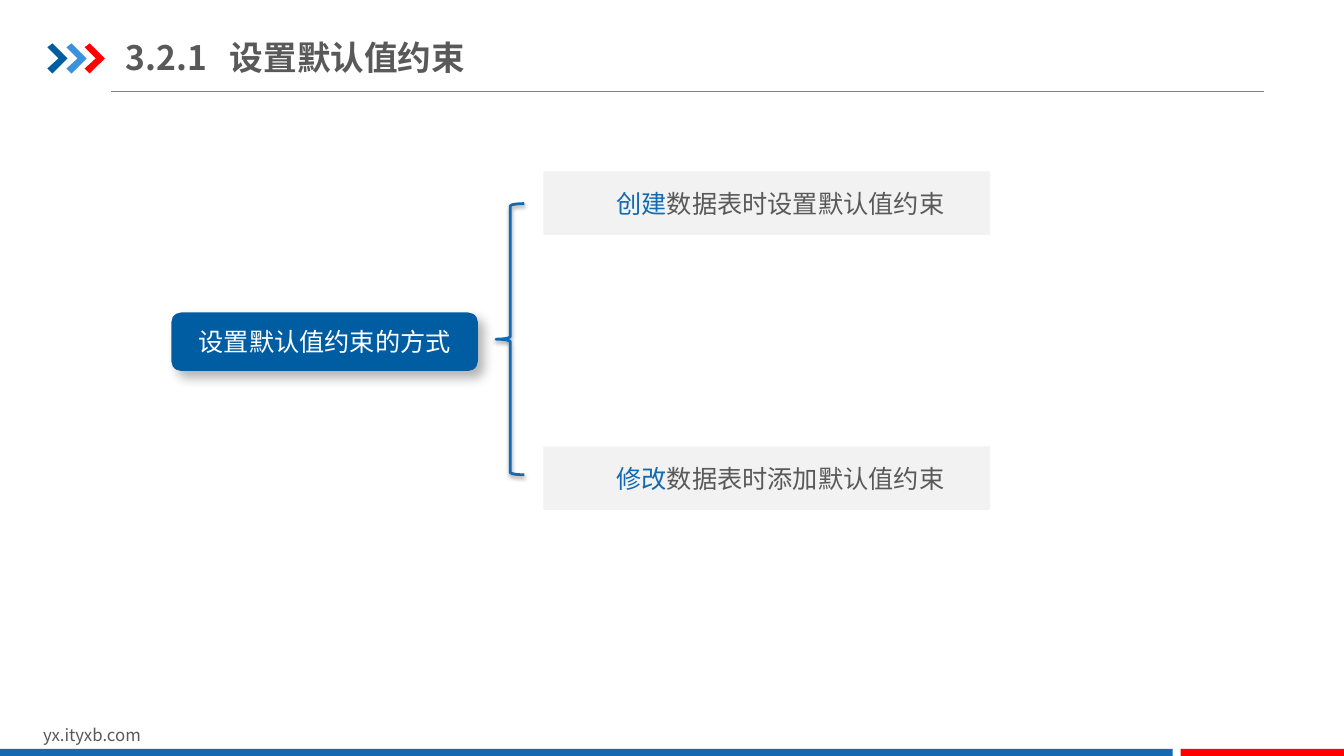
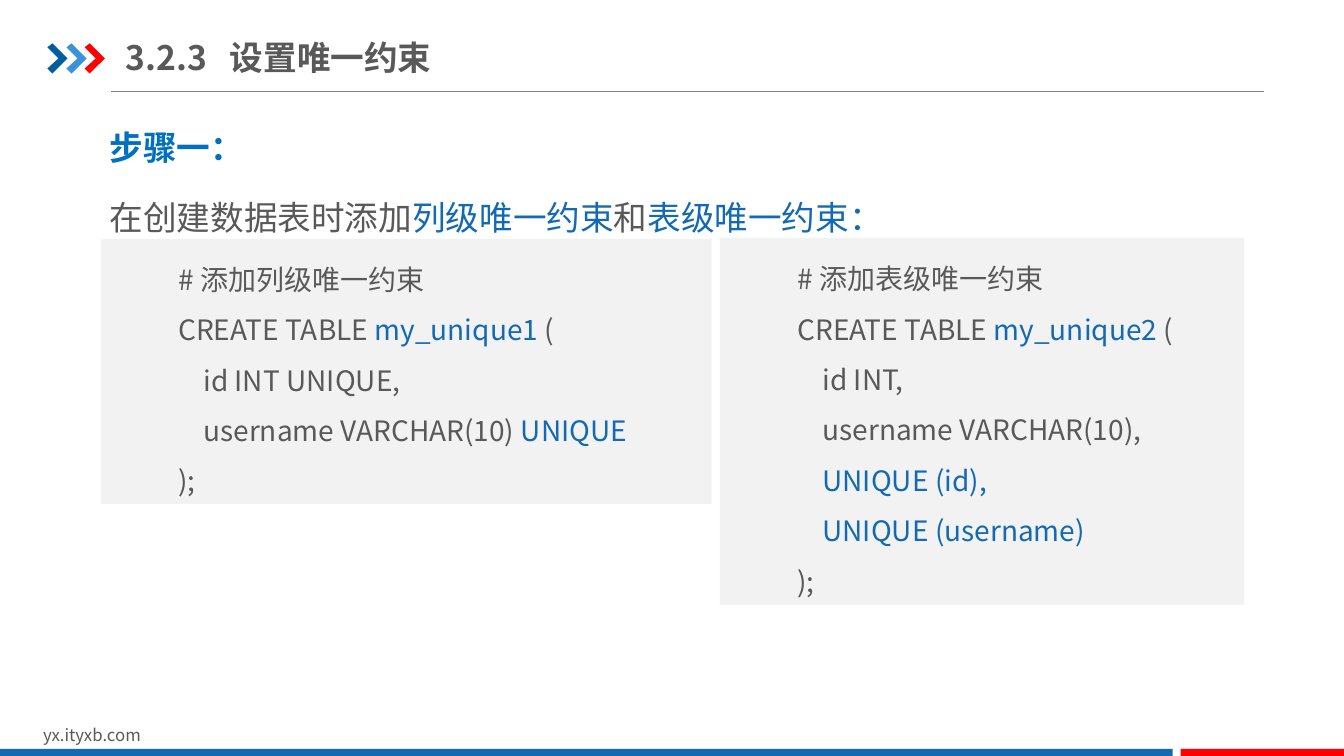
from lxml.etree import SubElement
from pptx import Presentation
from pptx.dml.color import RGBColor
from pptx.enum.shapes import MSO_CONNECTOR, MSO_SHAPE
from pptx.enum.text import MSO_ANCHOR, PP_ALIGN
from pptx.oxml.ns import qn
from pptx.util import Inches, Pt

FONT = "Noto Sans CJK SC"
GREY = RGBColor(0x59, 0x59, 0x59)
RULE_GREY = RGBColor(0x80, 0x80, 0x80)
PANEL = RGBColor(0xF2, 0xF2, 0xF2)
WHITE = RGBColor(0xFF, 0xFF, 0xFF)
NAVY = RGBColor(0x00, 0x5D, 0xA2)
SKY = RGBColor(0x39, 0x92, 0xDB)
BLUE = RGBColor(0x13, 0x69, 0xB2)
HEADING_BLUE = RGBColor(0x00, 0x70, 0xC0)
RED = RGBColor(0xFF, 0x00, 0x00)


def add_block(page, left, top, width, height, fill=None, kind=MSO_SHAPE.RECTANGLE):
    """Add a borderless filled shape, or a text box when there is no fill."""
    place = [Inches(value) for value in (left, top, width, height)]
    if fill is None:
        block = page.shapes.add_textbox(*place)
    else:
        block = page.shapes.add_shape(kind, *place)
        block.shadow.inherit = False
        block.fill.solid()
        block.fill.fore_color.rgb = fill
        block.line.fill.background()
    block.text_frame.word_wrap = True
    return block


def write(para, parts, size, bold=False, align=PP_ALIGN.LEFT):
    """Fill a paragraph with (text, colour) parts."""
    para.alignment = align
    for text, colour in parts:
        span = para.add_run()
        span.text = text
        span.font.size = Pt(size)
        span.font.bold = bold
        span.font.name = FONT
        span.font.color.rgb = colour
        SubElement(span.font._element, qn("a:ea"), typeface=FONT)


deck = Presentation()
deck.slide_width, deck.slide_height = Inches(13.33), Inches(7.5)
layout = deck.slide_layouts[6]
for placeholder in list(layout.placeholders):
    layout.shapes.element.remove(placeholder.element)

brace_page = deck.slides.add_slide(layout)
code_page = deck.slides.add_slide(layout)

# Shared rule, chevrons and footer: drawn once, then moved to the layout
rule = brace_page.shapes.add_connector(
    MSO_CONNECTOR.STRAIGHT, Inches(1.1), Inches(0.91), Inches(12.54), Inches(0.91))
rule.line.color.rgb = RULE_GREY
rule.line.width = Pt(0.75)
SubElement(rule._element.spPr, qn("a:effectLst"))

CHEVRON = [(0, 0.04), (0.05, 0), (0.2, 0.15), (0.05, 0.3), (0, 0.25), (0.11, 0.15)]
for left, colour in [(0.47, NAVY), (0.66, SKY), (0.84, RED)]:
    points = [(Inches(left + x), Inches(0.43 + y)) for x, y in CHEVRON]
    builder = brace_page.shapes.build_freeform(*points[0])
    builder.add_line_segments(points[1:], close=True)
    chevron = builder.convert_to_shape()
    chevron.shadow.inherit = False
    chevron.fill.solid()
    chevron.fill.fore_color.rgb = colour
    chevron.line.fill.background()

footer = add_block(brace_page, 0.33, 7.14, 3.18, 0.3)
write(footer.text_frame.paragraphs[0], [("yx.ityxb.com", GREY)], 12)
add_block(brace_page, 0, 7.43, 11.63, 0.09, BLUE)
add_block(brace_page, 11.71, 7.43, 1.63, 0.09, RED)
for shape in list(brace_page.shapes):
    layout.shapes.element.append(shape.element)

# Titles
for page, title in [(brace_page, "3.2.1\t设置默认值约束"), (code_page, "3.2.3\t设置唯一约束")]:
    box = add_block(page, 1.25, 0.29, 4.26, 0.55)
    frame = box.text_frame
    frame.vertical_anchor = MSO_ANCHOR.MIDDLE
    frame.margin_left = frame.margin_right = 0
    frame.margin_top = frame.margin_bottom = Inches(0.07)
    para = frame.paragraphs[0]
    tabs = SubElement(para._p.get_or_add_pPr(), qn("a:tabLst"))
    SubElement(tabs, qn("a:tab"), pos=str(Inches(1.03)), algn="l")
    write(para, [(title, GREY)], 24, bold=True)

# Slide 1: two ways of setting a default
topic = add_block(brace_page, 1.7, 3.1, 3.04, 0.58, NAVY, MSO_SHAPE.ROUNDED_RECTANGLE)
topic.text_frame.vertical_anchor = MSO_ANCHOR.MIDDLE
write(topic.text_frame.paragraphs[0], [("设置默认值约束的方式", WHITE)], 18,
      align=PP_ALIGN.CENTER)

brace = add_block(brace_page, 4.92, 2.02, 0.28, 2.69, BLUE, MSO_SHAPE.LEFT_BRACE)
brace.fill.background()
brace.line.color.rgb = BLUE
brace.line.width = Pt(2)

for shape, opacity, blur, distance, angle in [(topic, 30, 8, 6, 45), (brace, 38, 3.1, 1.6, 90)]:
    effects = shape._element.spPr.find(qn("a:effectLst"))
    shadow = SubElement(effects, qn("a:outerShdw"), blurRad=str(Pt(blur)),
                        dist=str(Pt(distance)), dir=str(angle * 60000), rotWithShape="0")
    shade = SubElement(shadow, qn("a:srgbClr"), val="000000")
    SubElement(shade, qn("a:alpha"), val=str(opacity * 1000))

for top, verb, rest in [(1.7, "创建", "数据表时设置默认值约束"),
                        (4.43, "修改", "数据表时添加默认值约束")]:
    option = add_block(brace_page, 5.39, top, 4.43, 0.63, PANEL)
    option.text_frame.vertical_anchor = MSO_ANCHOR.MIDDLE
    option.text_frame.margin_left = Inches(0.47)
    option.text_frame.margin_right = Inches(0.2)
    write(option.text_frame.paragraphs[0], [(verb, BLUE), (rest, GREY)], 18,
          align=PP_ALIGN.CENTER)

# Slide 2: column-level and table-level code
step = add_block(code_page, 0.99, 1.21, 4.97, 0.5)
write(step.text_frame.paragraphs[0], [("步骤一：", HEADING_BLUE)], 24, bold=True)

sentence = add_block(code_page, 0.99, 1.7, 11.43, 0.71)
para = sentence.text_frame.paragraphs[0]
para.line_spacing = 1.5
write(para, [("在创建数据表时添加", GREY), ("列级唯一约束", BLUE), ("和", GREY),
             ("表级唯一约束：", BLUE)], 24)

COLUMN_CODE = [
    [("# 添加列级唯一约束", GREY)],
    [("CREATE TABLE ", GREY), ("my_unique1", BLUE), (" (", GREY)],
    [("    id INT UNIQUE,", GREY)],
    [("    username VARCHAR(10) ", GREY), ("UNIQUE", BLUE)],
    [(");", GREY)],
]
TABLE_CODE = [
    [("# 添加表级唯一约束", GREY)],
    [("CREATE TABLE ", GREY), ("my_unique2", BLUE), (" (", GREY)],
    [("    id INT,", GREY)],
    [("    username VARCHAR(10),", GREY)],
    [("    UNIQUE (id),", BLUE)],
    [("    UNIQUE (username)", BLUE)],
    [(");", GREY)],
]
for left, top, width, height, lines in [(1, 2.37, 6.06, 2.63, COLUMN_CODE),
                                        (7.14, 2.36, 5.2, 3.64, TABLE_CODE)]:
    panel = add_block(code_page, left, top, width, height, PANEL)
    frame = panel.text_frame
    frame.vertical_anchor = MSO_ANCHOR.MIDDLE
    for number, parts in enumerate(lines):
        para = frame.add_paragraph() if number else frame.paragraphs[0]
        para.level = 1
        para.line_spacing = 1.5
        properties = para._p.get_or_add_pPr()
        properties.set("marL", str(Inches(0.67)))
        properties.set("indent", "0")
        write(para, parts, 20, align=PP_ALIGN.JUSTIFY)

deck.save("out.pptx")
